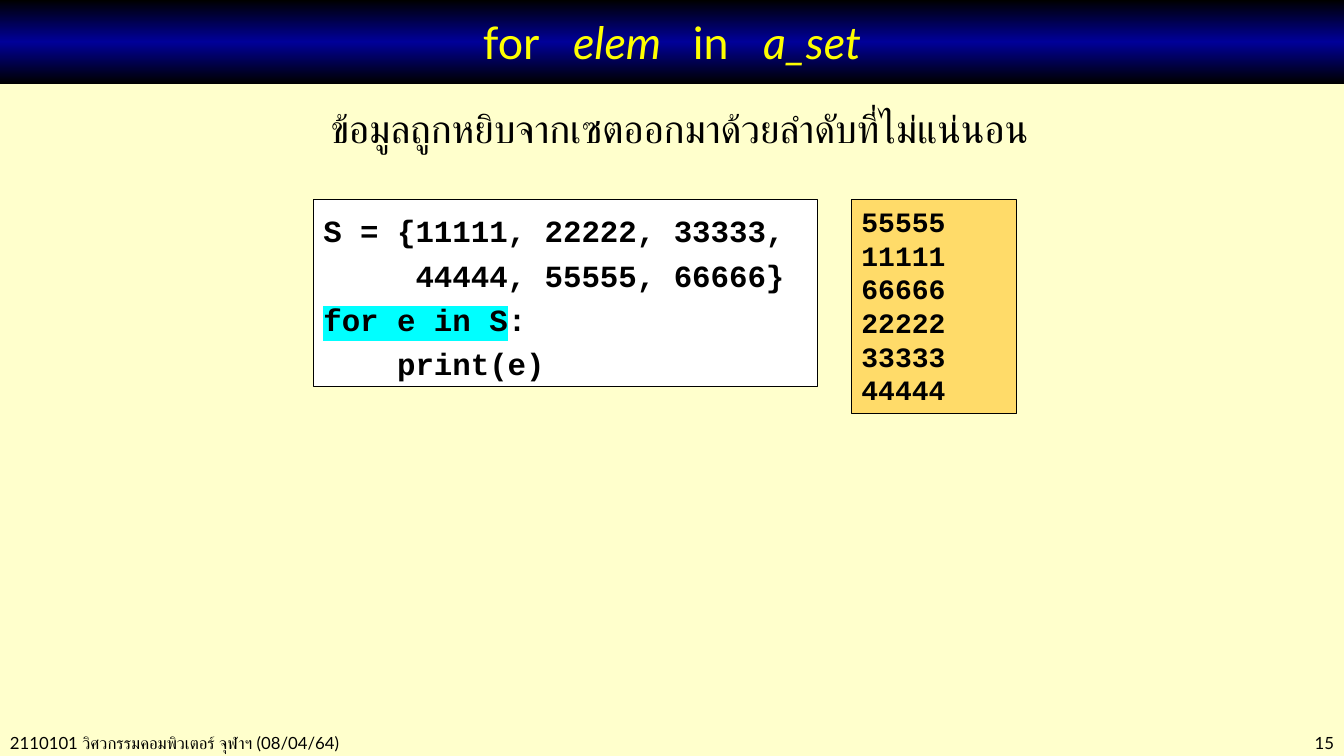
from copy import deepcopy

from lxml import etree
from pptx import Presentation
from pptx.dml.color import RGBColor
from pptx.enum.shapes import MSO_SHAPE
from pptx.enum.text import MSO_ANCHOR, PP_ALIGN
from pptx.oxml.ns import qn
from pptx.util import Cm, Pt

RECT = MSO_SHAPE.RECTANGLE
TOP, MIDDLE = MSO_ANCHOR.TOP, MSO_ANCHOR.MIDDLE
LEFT, CENTER, RIGHT = PP_ALIGN.LEFT, PP_ALIGN.CENTER, PP_ALIGN.RIGHT

BLACK = RGBColor(0x00, 0x00, 0x00)
WHITE = RGBColor(0xFF, 0xFF, 0xFF)
NAVY = RGBColor(0x00, 0x00, 0x99)
YELLOW = RGBColor(0xFF, 0xFF, 0x00)
CREAM = RGBColor(0xFF, 0xFF, 0xCC)
AMBER = RGBColor(0xFF, 0xDB, 0x69)
CYAN = RGBColor(0x00, 0xFF, 0xFF)

SANS, MONO = "Lato", "Courier New"
WIDTH, HEIGHT = Cm(33.87), Cm(19.05)
BAR_H, FOOTER_H = Cm(2.11), Cm(0.76)

TITLE = [("for   ", {}), ("elem   ", {"italic": True}),
         ("in   ", {}), ("a_set", {"italic": True})]
CODE = [
    [("S = {11111, 22222, 33333,", {})],
    [("     44444, 55555, 66666}", {})],
    [("for e in S", {"highlight": CYAN}), (":", {})],
    [("    print(e)", {})],
]
OUTPUT = ["55555", "11111", "66666", "22222", "33333", "44444"]


def highlight(r, color):
    """Mark a run's background; the element must follow the text fill."""
    mark = etree.Element(qn("a:highlight"))
    etree.SubElement(mark, qn("a:srgbClr")).set("val", str(color))
    r.font._element.find(qn("a:solidFill")).addnext(mark)


def write(sp, lines, size, font=SANS, color=BLACK, bold=False,
          align=LEFT, anchor=TOP, spacing=None, wrap=True):
    """Fill a shape with lines, each a list of (text, format) runs."""
    tf = sp.text_frame
    tf.word_wrap = wrap
    tf.vertical_anchor = anchor
    for i, runs in enumerate(lines):
        p = tf.paragraphs[0] if i == 0 else tf.add_paragraph()
        p.alignment = align
        if spacing:
            p.line_spacing = spacing
        for text, extra in runs:
            r = p.add_run()
            r.text = text
            look = {"name": font, "size": Pt(size), "bold": bold,
                    "italic": extra.get("italic", False)}
            for name, value in look.items():
                setattr(r.font, name, value)
            r.font.color.rgb = color
            if "highlight" in extra:
                highlight(r, extra["highlight"])


def add_title_bar(s, x, y, w, h):
    sp = s.shapes.add_shape(RECT, x, y, w, h)
    sp.shadow.inherit = False
    sp.line.fill.background()
    sp.fill.gradient()
    sp.fill.gradient_angle = 90
    stops = sp._element.spPr.find(qn("a:gradFill")).find(qn("a:gsLst"))
    stops.insert(1, deepcopy(stops[0]))
    for stop, position, color in zip(sp.fill.gradient_stops, (0, 0.5, 1),
                                     (BLACK, NAVY, BLACK)):
        stop.position = position
        stop.color.rgb = color
    write(sp, [TITLE], 32, color=YELLOW, align=CENTER, anchor=MIDDLE)


def add_label(s, x, y, w, h, text, size, align):
    sp = s.shapes.add_textbox(x, y, w, h)
    write(sp, [[(text, {})]], size, align=align)


def add_panel(s, x, y, w, h, fill, lines, size, spacing=None):
    """Outlined box of monospaced text."""
    sp = s.shapes.add_shape(RECT, x, y, w, h)
    sp.shadow.inherit = False
    sp.fill.solid()
    sp.fill.fore_color.rgb = fill
    sp.line.color.rgb = BLACK
    sp.line.width = Pt(0.75)
    write(sp, lines, size, MONO, bold=True, spacing=spacing, wrap=False)


def add_example(s, x, y):
    """Code listing with its printed output to the right."""
    code_w, gap = Cm(12.7), Cm(0.86)
    add_panel(s, x, y, code_w, Cm(4.72), WHITE, CODE, 22, 1.2)
    add_panel(s, x + code_w + gap, y, Cm(4.17), Cm(5.38), AMBER,
              [[(value, {})] for value in OUTPUT], 20)


def add_footer(s, x, y, w, h):
    course_w, number_w = Cm(13.2), Cm(4.67)
    add_label(s, x, y, course_w, h,
              "2110101 วิศวกรรมคอมพิวเตอร์ จุฬาฯ (08/04/64)", 12, LEFT)
    add_label(s, x + w - number_w, y, number_w, h, "15", 12, RIGHT)


def main():
    prs = Presentation()
    prs.slide_width, prs.slide_height = WIDTH, HEIGHT
    s = prs.slides.add_slide(prs.slide_layouts[6])
    s.background.fill.solid()
    s.background.fill.fore_color.rgb = CREAM
    add_footer(s, 0, Cm(18.34), WIDTH, FOOTER_H)
    add_title_bar(s, 0, 0, WIDTH, BAR_H)
    add_label(s, Cm(6.12), Cm(2.51), Cm(22), BAR_H,
              "ข้อมูลถูกหยิบจากเซตออกมาด้วยลำดับที่ไม่แน่นอน", 28, CENTER)
    add_example(s, Cm(7.9), Cm(5.03))
    prs.save("out.pptx")


if __name__ == "__main__":
    main()
